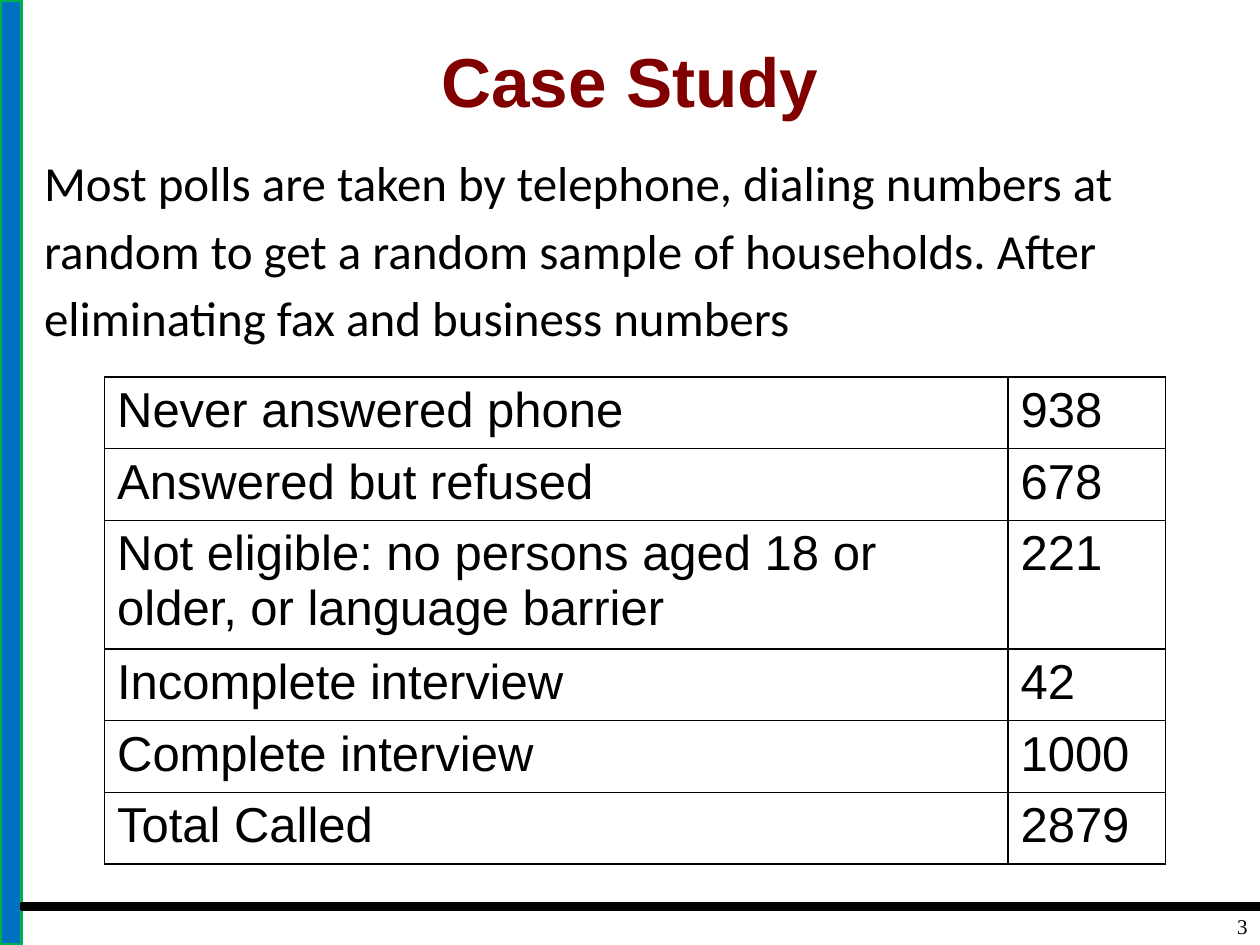
from dataclasses import dataclass

import pptx
import pptx.dml.color
import pptx.enum.shapes
import pptx.enum.text
import pptx.oxml.ns
import pptx.util
from lxml import etree

ALIGN = pptx.enum.text.PP_ALIGN
ANCHOR = pptx.enum.text.MSO_ANCHOR
FIT = pptx.enum.text.MSO_AUTO_SIZE
qn = pptx.oxml.ns.qn
WIDE, HIGH = pptx.util.Inches(10), pptx.util.Inches(7.5)


@dataclass(frozen=True)
class Font:
    name: str
    size: float
    color: str = "000000"
    bold: bool = False


@dataclass(frozen=True)
class Theme:
    title: Font = Font("Arial", 39.6, "800000", True)
    body: Font = Font("Calibri", 28)
    cell: Font = Font("Arial", 28)
    page: Font = Font("Times New Roman", 12)
    blue: str = "0070C0"
    green: str = "00B050"
    black: str = "000000"
    edge: float = 2
    rule: float = 1


@dataclass(frozen=True)
class Box:
    """A place on the slide, in percent of its width and height."""
    left: float
    top: float
    width: float
    height: float

    def emu(self) -> tuple:
        return (across(self.left), down(self.top),
                across(self.width), down(self.height))


@dataclass(frozen=True)
class Band:
    box: Box
    fill: str
    line: str


@dataclass(frozen=True)
class Count:
    label: str
    value: str
    lines: int = 1


THEME = Theme()
BANDS = (
    Band(Box(0, 0, 1.7, 100), THEME.blue, THEME.green),
    Band(Box(1.7, 95.6, 98.3, 0.67), THEME.black, THEME.black),
)
COUNTS = (
    Count("Never answered phone", "938"),
    Count("Answered but refused", "678"),
    Count("Not eligible: no persons aged 18 or older, or language barrier",
          "221", 2),
    Count("Incomplete interview", "42"),
    Count("Complete interview", "1000"),
    Count("Total Called", "2879"),
)
COLS = (71.7, 12.5)
ROWS = {1: 7.6, 2: 13.6}  # row height by number of text lines
INTRO = ("Most polls are taken by telephone, dialing numbers at random to get "
         "a random sample of households. After eliminating fax and business "
         "numbers")


def across(share: float) -> int:
    return int(WIDE * share / 100)


def down(share: float) -> int:
    return int(HIGH * share / 100)


def rgb(code: str):
    return pptx.dml.color.RGBColor.from_string(code)


def write(frame, text: str, font: Font, align=ALIGN.LEFT):
    para = frame.paragraphs[0]
    para.alignment = align
    run = para.add_run()
    run.text = text
    run.font.name = font.name
    run.font.size = pptx.util.Pt(font.size)
    run.font.bold = font.bold
    run.font.color.rgb = rgb(font.color)
    return para


def place(shape, box: Box):
    """Move a text shape and return its frame, wrapped and top-anchored."""
    shape.left, shape.top, shape.width, shape.height = box.emu()
    frame = shape.text_frame
    frame.word_wrap = True
    frame.auto_size = FIT.NONE
    frame.vertical_anchor = ANCHOR.TOP
    return frame


def draw_band(slide, band: Band) -> None:
    kind = pptx.enum.shapes.MSO_SHAPE.RECTANGLE
    shape = slide.shapes.add_shape(kind, *band.box.emu())
    shape.shadow.inherit = False
    shape.fill.solid()
    shape.fill.fore_color.rgb = rgb(band.fill)
    shape.line.color.rgb = rgb(band.line)
    shape.line.width = pptx.util.Pt(THEME.edge)


def rule_cell(cell) -> None:
    """Draw all four borders of a cell and clear its fill."""
    props = cell._tc.get_or_add_tcPr()
    for side in ("lnL", "lnR", "lnT", "lnB"):
        line = etree.SubElement(props, qn(f"a:{side}"),
                                w=str(pptx.util.Pt(THEME.rule)))
        fill = etree.SubElement(line, qn("a:solidFill"))
        etree.SubElement(fill, qn("a:srgbClr"), val=THEME.black)
    cell.fill.background()


def draw_table(slide, left: float, top: float) -> None:
    sizes = [ROWS[count.lines] for count in COUNTS]
    box = Box(left, top, sum(COLS), sum(sizes))
    table = slide.shapes.add_table(len(COUNTS), len(COLS), *box.emu()).table
    table.first_row = table.horz_banding = False
    for col, share in zip(table.columns, COLS):
        col.width = across(share)
    for row, share, count in zip(table.rows, sizes, COUNTS):
        row.height = down(share)
        for cell, text in zip(row.cells, (count.label, count.value)):
            write(cell.text_frame, text, THEME.cell)
            rule_cell(cell)


def main() -> None:
    deck = pptx.Presentation()
    deck.slide_width, deck.slide_height = WIDE, HIGH
    slide = deck.slides.add_slide(deck.slide_layouts[1])
    for band in BANDS:
        draw_band(slide, band)

    head = place(slide.shapes.title, Box(5, 4, 90, 16.67))
    head.margin_top = 0
    write(head, "Case Study", THEME.title, ALIGN.CENTER)

    body = place(slide.placeholders[1], Box(2.5, 14.53, 97.5, 22.53))
    para = write(body, INTRO, THEME.body)
    para.line_spacing = 1.15
    para.space_before = pptx.util.Pt(0)
    props = para._p.get_or_add_pPr()
    props.set("marL", "0")
    props.set("indent", "0")
    etree.SubElement(props, qn("a:buNone"))

    draw_table(slide, 8.3, 39.87)

    spot = Box(95, 96, 5, 4)
    page = place(slide.shapes.add_textbox(*spot.emu()), spot)
    write(page, "3", THEME.page, ALIGN.RIGHT)
    deck.save("out.pptx")


if __name__ == "__main__":
    main()
